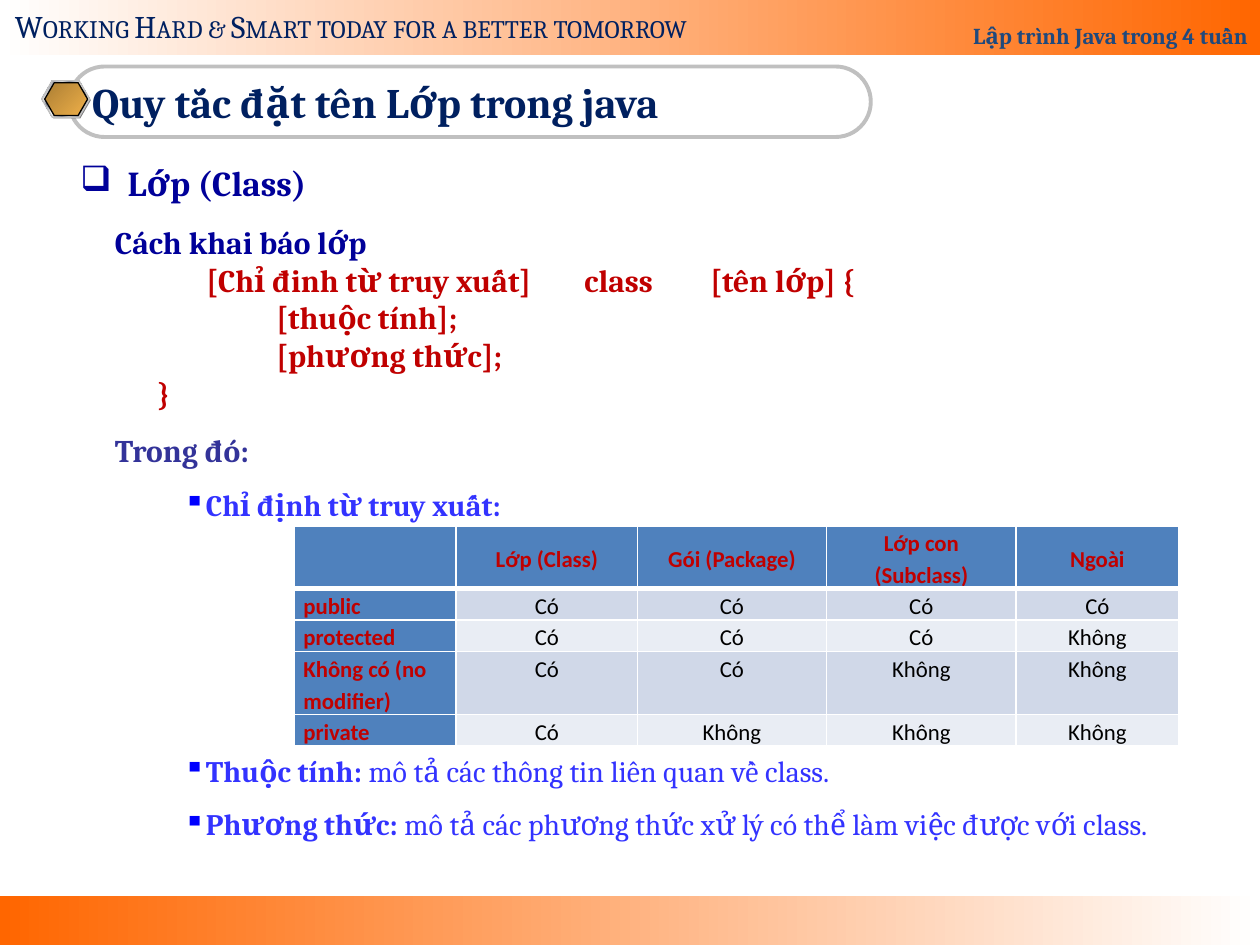
import dataclasses

import lxml.etree
import pptx
import pptx.dml.color
import pptx.enum.shapes
import pptx.enum.text
import pptx.oxml.ns
import pptx.util

Pt = pptx.util.Pt
Kind = pptx.enum.shapes.MSO_SHAPE
Align = pptx.enum.text.PP_ALIGN
Anchor = pptx.enum.text.MSO_ANCHOR


@dataclasses.dataclass(frozen=True)
class Theme:
    serif: str = "Cambria"
    sans: str = "Calibri"
    white: str = "FFFFFF"
    black: str = "000000"
    orange: str = "FF6600"
    slate: str = "1F497D"
    navy: str = "002060"
    blue: str = "000099"
    indigo: str = "333399"
    bright: str = "3333FF"
    mark: str = "0000FF"
    red: str = "C00000"
    silver: str = "C0C0C0"
    gray: str = "808080"
    gold: tuple = ((0, "AB7E34"), (100, "EFB049"))
    chrome: tuple = (
        (0, "E6E6E6"), (7, "7D8496"), (26, "E6E6E6"), (34, "7D8496"),
        (46, "E6E6E6"), (50, "FFFFFF"), (54, "E6E6E6"), (66, "7D8496"),
        (74, "E6E6E6"), (93, "7D8496"), (100, "E6E6E6"))
    head: str = "4F81BD"
    bands: tuple = ("D0D8E8", "E9EDF4")
    title: int = 24
    topic: int = 20
    text: int = 18
    item: int = 17
    small: int = 13


THEME = Theme()


def rgb(code):
    return pptx.dml.color.RGBColor.from_string(code)


def node(base, tag, **attrs):
    return lxml.etree.SubElement(base, pptx.oxml.ns.qn("a:" + tag), **attrs)


def style(font, size, color, bold=False, face=THEME.serif):
    font.name = face
    font.size = Pt(size)
    font.bold = bold
    font.color.rgb = rgb(color)


def blend(fill, stops, angle=0):
    fill.gradient()
    fill.gradient_angle = angle
    part = fill.gradient_stops[0].color
    part.rgb = rgb(stops[0][1])
    path = pptx.oxml.ns.qn("a:gsLst")
    return path, stops


def paint(shape, look, angle=0):
    fill = shape.fill
    if look is None:
        fill.background()
    elif isinstance(look, str):
        fill.solid()
        fill.fore_color.rgb = rgb(look)
    else:
        fill.gradient()
        fill.gradient_angle = angle
        group = next(shape._element.iter(pptx.oxml.ns.qn("a:gsLst")))
        for old in list(group):
            group.remove(old)
        for place, code in look:
            stop = node(group, "gs", pos=str(place * 1000))
            node(stop, "srgbClr", val=code)


def add_form(shapes, kind, area, look=None, line=None, width=0.75, angle=0):
    shape = shapes.add_shape(kind, *map(Pt, area))
    shape.shadow.inherit = False
    paint(shape, look, angle)
    if line:
        shape.line.color.rgb = rgb(line)
        shape.line.width = Pt(width)
    else:
        shape.line.fill.background()
    return shape


def put_text(shape, words, size, color, bold=True, align=Align.LEFT):
    para = shape.text_frame.paragraphs[0]
    para.text = words
    para.alignment = align
    style(para.runs[0].font, size, color, bold)
    return para


def add_bars(shapes):
    add_form(shapes, Kind.RECTANGLE, (0, 512, 720, 28),
             ((0, THEME.orange), (100, THEME.white)))
    bar = add_form(shapes, Kind.RECTANGLE, (0, 0, 720, 31.5),
                   ((0, THEME.white), (100, THEME.orange)))
    bar.text_frame.vertical_anchor = Anchor.BOTTOM
    para = put_text(bar, "Lập trình Java trong 4 tuần", THEME.small,
                    THEME.slate, align=Align.RIGHT)
    para.line_spacing = 1.8
    box = shapes.add_textbox(Pt(1.4), Pt(0.7), Pt(425), Pt(29))
    box.text_frame.word_wrap = False
    para = put_text(box, "Working Hard & Smart today for a better tomorrow",
                    THEME.text, THEME.navy, False)
    para.runs[0].font._element.set("cap", "small")


def add_title(shapes):
    group = shapes.add_group_shape().shapes
    pill = add_form(group, Kind.ROUNDED_RECTANGLE, (39.6, 38, 458, 40.3),
                    line=THEME.silver, width=2.25)
    pill.adjustments[0] = 0.5
    pill.text_frame.vertical_anchor = Anchor.MIDDLE
    put_text(pill, "Quy tắc đặt tên Lớp trong java", THEME.title, THEME.navy)
    gems = (((24.5, 46.8, 27.4, 20.9), THEME.gray, None),
            ((23.8, 46.1, 27.4, 20.9), THEME.chrome, THEME.silver),
            ((25.6, 47.3, 24.5, 18.7), THEME.gold, THEME.black))
    for area, look, line in gems:
        gem = add_form(group, Kind.HEXAGON, area, look, line, angle=315)
        gem.adjustments[0] = 0.289


def add_para(frame, words, size, color, left=0, first=0, space=1.5,
             sign=None, hue=None, tabs=(), rest="", before=0):
    para = frame.paragraphs[0]
    if para.runs:
        para = frame.add_paragraph()
    para.text = words
    props = para._p.get_or_add_pPr()
    props.set("marL", str(Pt(left)))
    props.set("indent", str(Pt(first)))
    if hue:
        node(node(props, "buClr"), "srgbClr", val=hue)
    if sign:
        node(props, "buChar", char=sign)
    if tabs:
        stops = node(props, "tabLst")
        for tab in tabs:
            node(stops, "tab", pos=str(Pt(tab)), algn="l")
    para.line_spacing = space
    if before:
        para.space_before = Pt(before)
    style(para.runs[0].font, size, color, True)
    if rest:
        run = para.add_run()
        run.text = rest
        style(run.font, size, color)


def add_body(shapes):
    box = shapes.add_textbox(Pt(38.9), Pt(77), Pt(635), Pt(444))
    frame = box.text_frame
    frame.word_wrap = True
    add_para(frame, "Lớp (Class)", THEME.topic, THEME.blue, 27, -27, sign="❑")
    add_para(frame, "Cách khai báo lớp", THEME.text, THEME.blue, first=19.7)
    code = (("[Chỉ đinh từ truy xuất]\tclass\t[tên lớp] {", 72, (288, 360)),
            ("[thuộc tính];", 112, ()),
            ("[phương thức];", 112, ()),
            ("}", 44, ()))
    for words, first, tabs in code:
        add_para(frame, words, THEME.text, THEME.red, first=first,
                 space=1, tabs=tabs)
    add_para(frame, "Trong đó:", THEME.text, THEME.indigo, first=19.7)
    items = (("Chỉ định từ truy xuất:", "", 0),
             ("Thuộc tính: ", "mô tả các thông tin liên quan về class.", 121.5),
             ("Phương thức: ", "mô tả các phương thức xử lý có thể làm việc "
              "được với class.", 0))
    for words, rest, before in items:
        add_para(frame, words, THEME.item, THEME.bright, 36, 23, sign="▪",
                 hue=THEME.mark, rest=rest, before=before)


def set_cell(cell, words, row, col):
    props = cell._tc.get_or_add_tcPr()
    for side in "LRTB":
        thick = 3 if (row, side) in ((0, "B"), (1, "T")) else 1
        edge = node(props, "ln" + side, w=str(Pt(thick)))
        node(node(edge, "solidFill"), "srgbClr", val=THEME.white)
    label = row == 0 or col == 0
    cell.fill.solid()
    cell.fill.fore_color.rgb = rgb(
        THEME.head if label else THEME.bands[(row - 1) % 2])
    cell.margin_left = cell.margin_right = Pt(5.4)
    cell.margin_top = cell.margin_bottom = 0
    cell.vertical_anchor = Anchor.TOP if row else Anchor.MIDDLE
    cell.text = words
    para = cell.text_frame.paragraphs[0]
    para.alignment = Align.LEFT if col == 0 else Align.CENTER
    para.line_spacing = 1.15
    style(para.font, THEME.small, THEME.red if label else THEME.black,
          label, THEME.sans)
    for run in para.runs:
        style(run.font, THEME.small, THEME.red if label else THEME.black,
              label, THEME.sans)


def add_grid(shapes):
    yes, no = "Có", "Không"
    rows = (("", "Lớp (Class)", "Gói (Package)", "Lớp con (Subclass)", "Ngoài"),
            ("public", yes, yes, yes, yes),
            ("protected", yes, yes, yes, no),
            ("Không có (no modifier)", yes, yes, no, no),
            ("private", yes, no, no, no))
    table = shapes.add_table(5, 5, Pt(168), Pt(300.5), Pt(505), Pt(125)).table
    for col, width in zip(table.columns, (92.7, 103.5, 108, 108.5, 92.7)):
        col.width = Pt(width)
    for row, height in zip(table.rows, (35.8, 17.9, 17.9, 35.8, 17.9)):
        row.height = Pt(height)
    for row, words in enumerate(rows):
        for col, word in enumerate(words):
            set_cell(table.cell(row, col), word, row, col)


def main():
    deck = pptx.Presentation()
    deck.slide_width, deck.slide_height = Pt(720), Pt(540)
    shapes = deck.slides.add_slide(deck.slide_layouts[6]).shapes
    add_bars(shapes)
    add_title(shapes)
    add_body(shapes)
    add_grid(shapes)
    deck.save("out.pptx")


if __name__ == "__main__":
    main()
